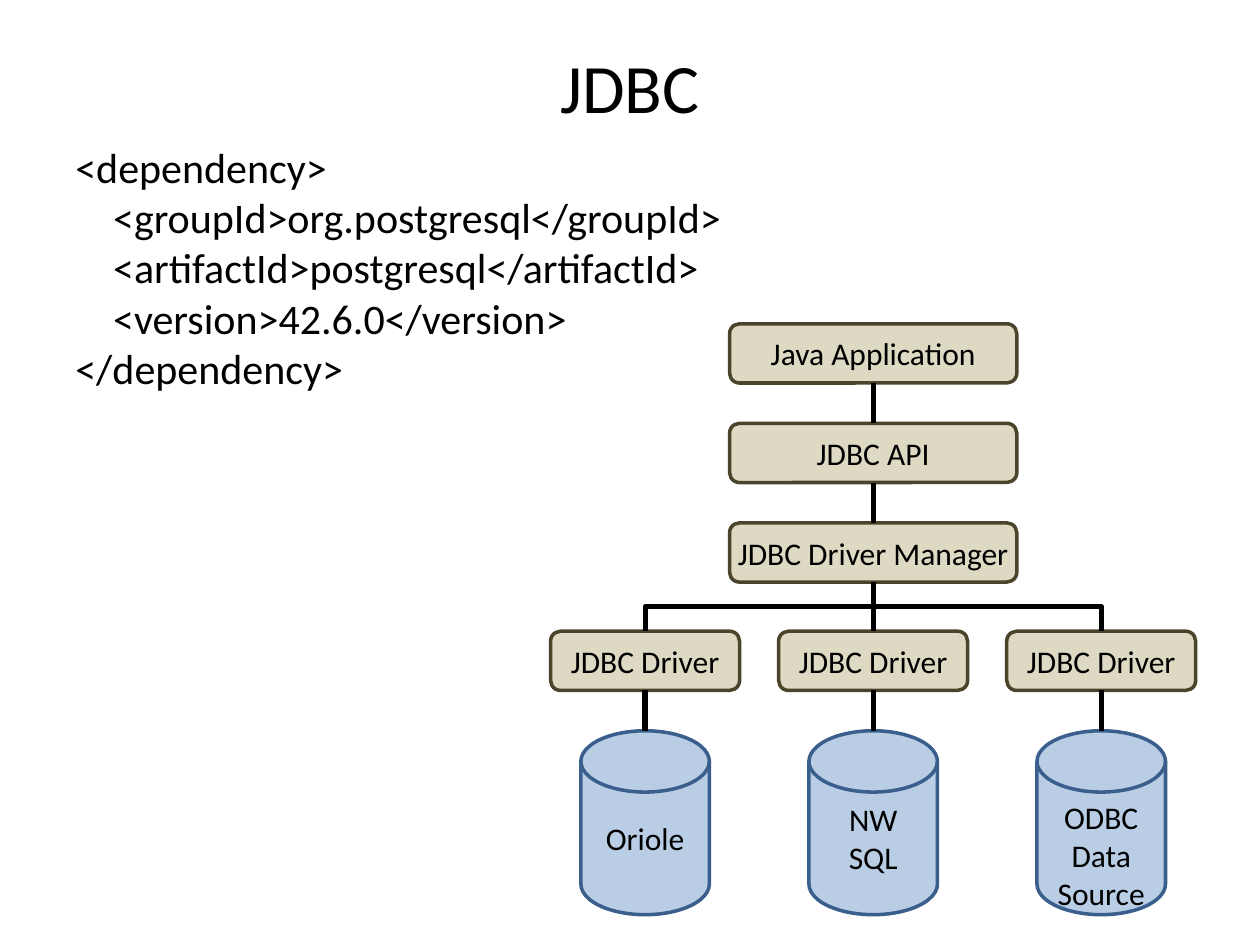
from lxml import etree
from pptx import Presentation
from pptx.dml.color import RGBColor
from pptx.enum.shapes import MSO_CONNECTOR, MSO_SHAPE
from pptx.enum.text import MSO_ANCHOR, PP_ALIGN
from pptx.oxml.ns import qn
from pptx.util import Inches, Pt

BLACK = RGBColor(0x00, 0x00, 0x00)
TAN = RGBColor(0xDD, 0xD9, 0xC3)
BROWN = RGBColor(0x4A, 0x45, 0x2A)
LIGHT_BLUE = RGBColor(0xB9, 0xCD, 0xE5)
BLUE = RGBColor(0x3A, 0x5F, 0x8C)
ROUNDED = MSO_SHAPE.ROUNDED_RECTANGLE
DISK = MSO_SHAPE.FLOWCHART_MAGNETIC_DISK
STRAIGHT = MSO_CONNECTOR.STRAIGHT
ELBOW = MSO_CONNECTOR.ELBOW
CENTER, LEFT = PP_ALIGN.CENTER, PP_ALIGN.LEFT
MIDDLE, TOP = MSO_ANCHOR.MIDDLE, MSO_ANCHOR.TOP
TOP_SIDE, BOTTOM_SIDE = 0, 2

DEPENDENCY = [
    ("<dependency>", 0),
    ("<groupId>org.postgresql</groupId>", 0.3),
    ("<artifactId>postgresql</artifactId>", 0.3),
    ("<version>42.6.0</version>", 0.3),
    ("</dependency>", 0),
]
LAYERS = ["Java Application", "JDBC API", "JDBC Driver Manager"]
SOURCES = [(["Oriole"], MIDDLE), (["NW SQL"], MIDDLE), (["ODBC", "Data", "Source"], TOP)]
AXIS = 6.93
COLUMN_STEP = 1.81
LAYER_TOP, LAYER_STEP = 2.57, 0.79
DRIVER_TOP, DISK_TOP = 5.01, 5.8
BOX_HEIGHT = 0.47


def write(frame, lines, size=18, align=CENTER, anchor=MIDDLE, indents=(), side=0.1):
    frame.word_wrap = True
    frame.vertical_anchor = anchor
    frame.margin_left = frame.margin_right = Inches(side)
    for number, line in enumerate(lines):
        paragraph = frame.add_paragraph() if number else frame.paragraphs[0]
        paragraph.alignment = align
        if indents:
            paragraph._p.get_or_add_pPr().set("marL", str(Inches(indents[number])))
        run = paragraph.add_run()
        run.text = line
        run.font.name = "Calibri"
        run.font.size = Pt(size)
        run.font.color.rgb = BLACK


class Diagram:
    """Draws text, nodes and links on one slide in a shared style."""

    def __init__(self, slide):
        self.shapes = slide.shapes

    def text(self, left, top, width, height, lines, **style):
        box = self.shapes.add_textbox(Inches(left), Inches(top), Inches(width), Inches(height))
        write(box.text_frame, lines, **style)

    def node(self, preset, center, top, width, height, fill, outline, lines, **style):
        node = self.shapes.add_shape(
            preset, Inches(center - width / 2), Inches(top), Inches(width), Inches(height))
        node.shadow.inherit = False
        node.fill.solid()
        node.fill.fore_color.rgb = fill
        node.line.color.rgb = outline
        node.line.width = Pt(2)
        write(node.text_frame, lines, **style)
        return node

    def box(self, center, top, width, label, **style):
        return self.node(ROUNDED, center, top, width, BOX_HEIGHT, TAN, BROWN, [label], **style)

    def disk(self, center, lines, anchor):
        return self.node(DISK, center, DISK_TOP, 1.02, 1.46, LIGHT_BLUE, BLUE, lines, anchor=anchor)

    def link(self, upper, lower):
        start_x, start_y = upper.left + upper.width // 2, upper.top + upper.height
        end_x, end_y = lower.left + lower.width // 2, lower.top
        shift, drop = end_x - start_x, end_y - start_y
        bent = abs(shift) > Inches(0.1)
        link = self.shapes.add_connector(ELBOW if bent else STRAIGHT, start_x, start_y, end_x, end_y)
        link.begin_connect(upper, BOTTOM_SIDE)
        if lower.auto_shape_type == ROUNDED:
            link.end_connect(lower, TOP_SIDE)
        if bent:
            self.turn_down(link, (start_x + end_x) // 2, (start_y + end_y) // 2, shift, drop)
        link.line.color.rgb = BLACK
        link.line.width = Pt(3)
        etree.SubElement(link._element.spPr, qn("a:effectLst"))

    def turn_down(self, link, middle_x, middle_y, shift, drop):
        link.width, link.height = drop, abs(shift)
        link.left, link.top = middle_x - drop // 2, middle_y - abs(shift) // 2
        transform = link._element.spPr.find(qn("a:xfrm"))
        transform.set("rot", str((270 if shift > 0 else 90) * 60000))
        transform.set("flipH", "1" if shift > 0 else "0")


def main():
    deck = Presentation()
    deck.slide_width, deck.slide_height = Inches(10), Inches(7.5)
    diagram = Diagram(deck.slides.add_slide(deck.slide_layouts[6]))

    diagram.text(0.5, 0.3, 9, 0.77, ["JDBC"], size=39.6)
    code, indents = zip(*DEPENDENCY)
    diagram.text(0.5, 1.07, 9, 5.98, code, size=24, align=LEFT, anchor=TOP, indents=indents)

    layers = [diagram.box(AXIS, LAYER_TOP + row * LAYER_STEP, 2.28, label, side=0.04)
              for row, label in enumerate(LAYERS)]
    for upper, lower in zip(layers, layers[1:]):
        diagram.link(upper, lower)

    for column, (lines, anchor) in enumerate(SOURCES):
        center = AXIS + (column - 1) * COLUMN_STEP
        driver = diagram.box(center, DRIVER_TOP, 1.5, "JDBC Driver")
        source = diagram.disk(center, lines, anchor)
        diagram.link(layers[-1], driver)
        diagram.link(driver, source)

    deck.save("out.pptx")


if __name__ == "__main__":
    main()
